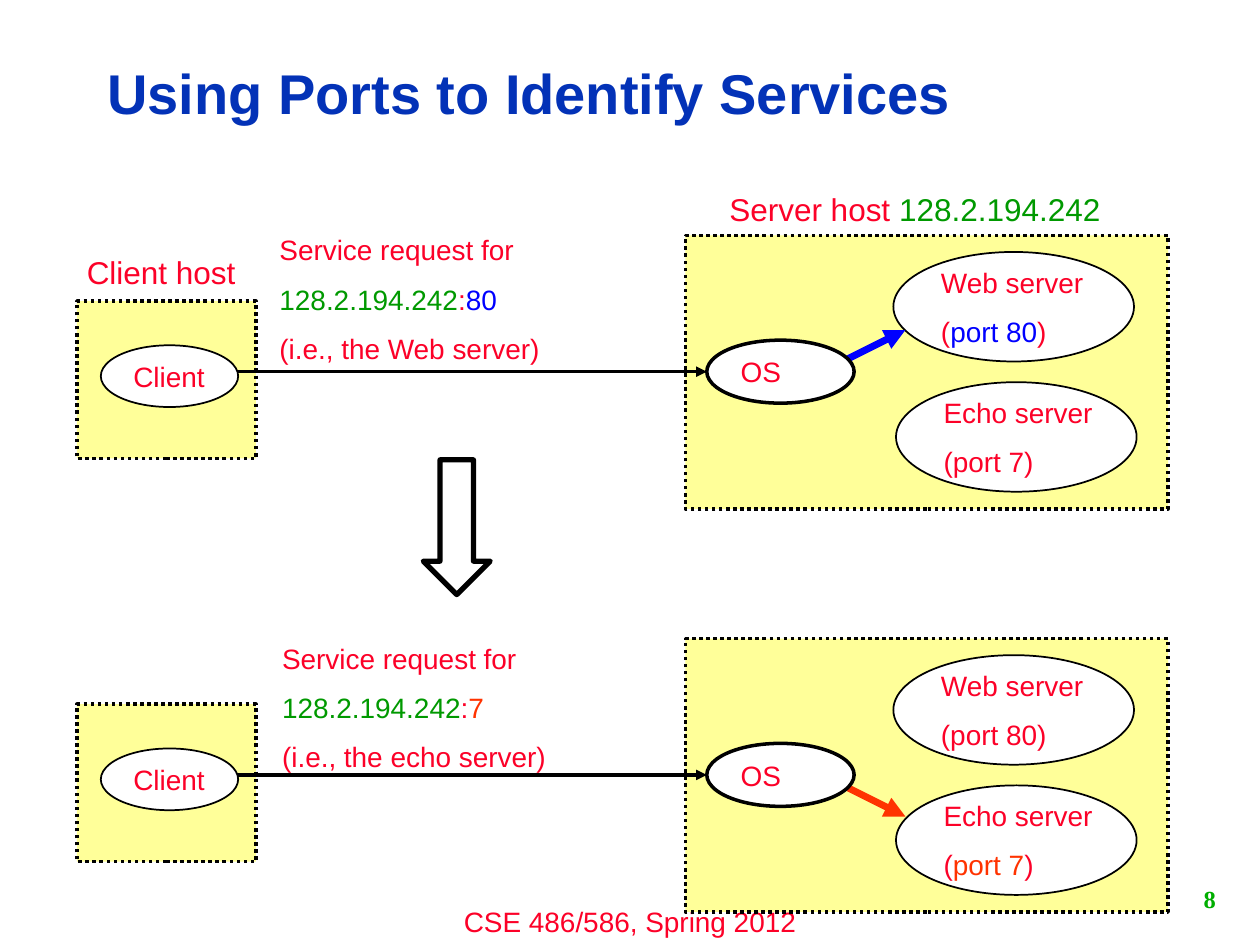
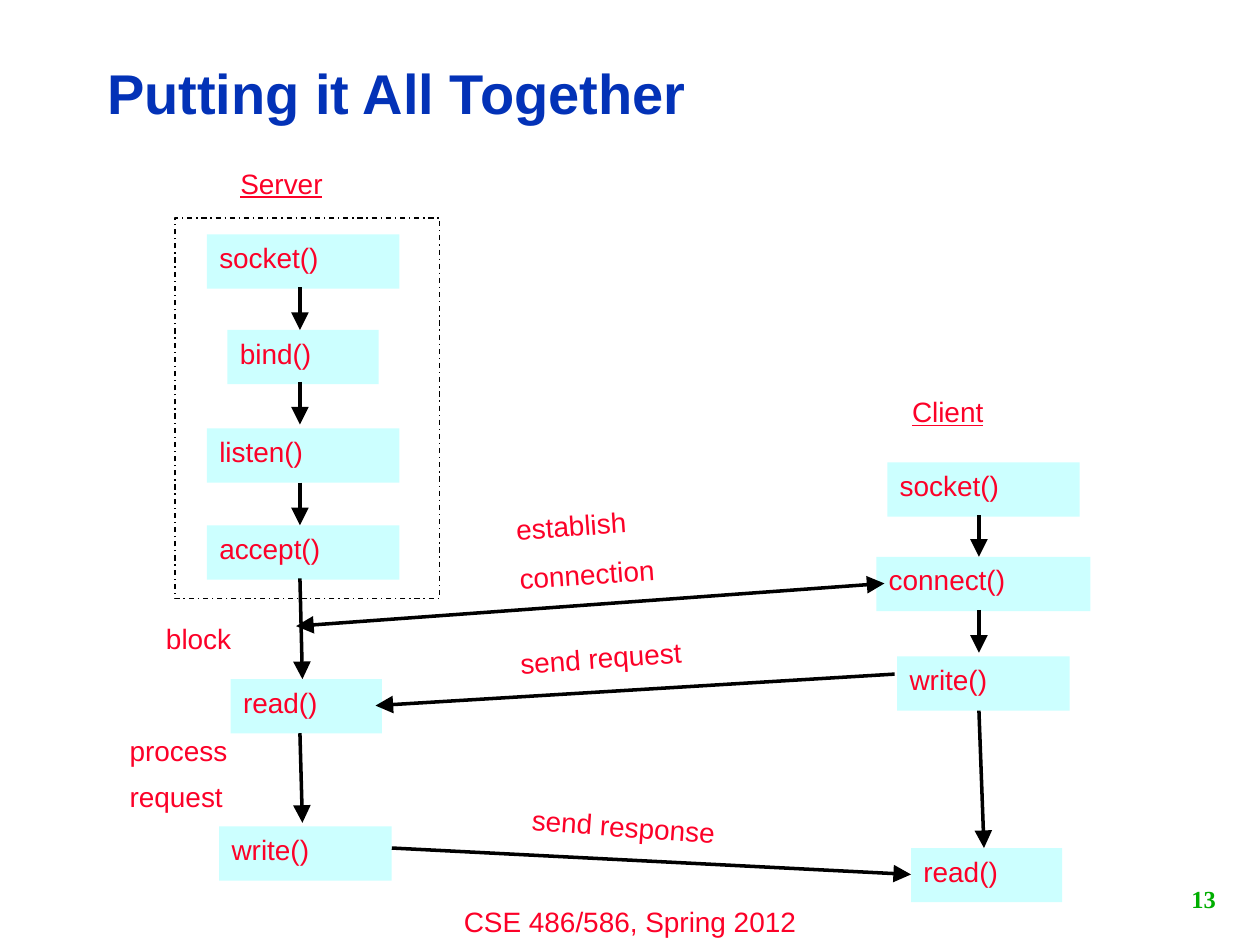
"""Builds two slides on ports and socket calls."""
import dataclasses

import lxml.etree
import pptx
import pptx.dml.color
import pptx.enum.dml
import pptx.enum.shapes
import pptx.enum.text
import pptx.oxml.ns
import pptx.util

Pt = pptx.util.Pt
SHAPE = pptx.enum.shapes.MSO_SHAPE
DASH = pptx.enum.dml.MSO_LINE
ALIGN = pptx.enum.text.PP_ALIGN
ANCHOR = pptx.enum.text.MSO_ANCHOR


@dataclasses.dataclass(frozen=True)
class Theme:
    title: str = "0332B7"
    text: str = "FC0128"
    number: str = "00AE00"
    address: str = "009900"
    web: str = "0000FF"
    echo: str = "FF3300"
    line: str = "000000"
    white: str = "FFFFFF"
    host: str = "FFFF99"
    call: str = "CCFFFF"
    font: str = "Arial"
    number_font: str = "Times New Roman"
    title_size: int = 32
    label_size: int = 18
    body_size: int = 16
    number_size: int = 14
    paragraph_gap: int = 9


def color(value):
    return pptx.dml.color.RGBColor.from_string(value)


class Deck:
    def __init__(self, theme):
        self.theme = theme
        self.presentation = pptx.Presentation()
        self.presentation.slide_width = Pt(720)
        self.presentation.slide_height = Pt(540)
        self.slide = None

    def start_slide(self, title, number):
        theme = self.theme
        self.slide = self.presentation.slides.add_slide(self.presentation.slide_layouts[5])
        shape = self.slide.shapes.title
        shape.left, shape.top, shape.width, shape.height = Pt(54), Pt(26), Pt(574.6), Pt(58.3)
        self.fill_text(shape, [title], theme.title_size, theme.title, bold=True,
                       anchor=ANCHOR.MIDDLE, spacing=0.9)
        self.text(["CSE 486/586, Spring 2012"], 240, 513.4, 240, 26.6, align=ALIGN.CENTER)
        self.text([str(number)], 630, 498.2, 72, 30.2, size=theme.number_size,
                  fill=theme.number, font=theme.number_font, bold=True,
                  align=ALIGN.RIGHT, anchor=ANCHOR.MIDDLE)

    def fill_text(self, shape, paragraphs, size=None, fill=None, font=None, bold=False,
                  underline=False, align=ALIGN.LEFT, anchor=ANCHOR.TOP, spacing=1.0):
        theme = self.theme
        frame = shape.text_frame
        frame.word_wrap = True
        frame.auto_size = pptx.enum.text.MSO_AUTO_SIZE.NONE
        frame.vertical_anchor = anchor
        for index, content in enumerate(paragraphs):
            paragraph = frame.add_paragraph() if index else frame.paragraphs[0]
            paragraph.alignment = align
            paragraph.line_spacing = spacing
            paragraph.space_before = Pt(theme.paragraph_gap if index else 0)
            parts = [(content, None)] if isinstance(content, str) else content
            for words, part_fill in parts:
                run = paragraph.add_run()
                run.text = words
                run.font.name = font or theme.font
                run.font.size = Pt(size or theme.body_size)
                run.font.bold = bold
                run.font.underline = underline
                run.font.color.rgb = color(part_fill or fill or theme.text)

    def text(self, paragraphs, left, top, width, height, rotation=0, **style):
        box = self.slide.shapes.add_textbox(Pt(left), Pt(top), Pt(width), Pt(height))
        box.rotation = rotation
        self.fill_text(box, paragraphs, **style)

    def shape(self, kind, left, top, width, height, fill=None, weight=0, dash=None):
        shape = self.slide.shapes.add_shape(kind, Pt(left), Pt(top), Pt(width), Pt(height))
        shape.shadow.inherit = False
        if fill:
            shape.fill.solid()
            shape.fill.fore_color.rgb = color(fill)
        else:
            shape.fill.background()
        if weight:
            shape.line.color.rgb = color(self.theme.line)
            shape.line.width = Pt(weight)
            if dash:
                shape.line.dash_style = dash
        else:
            shape.line.fill.background()
        return shape

    def ellipse(self, paragraphs, left, top, width, height, weight=1):
        shape = self.shape(SHAPE.OVAL, left, top, width, height, self.theme.white, weight)
        frame = shape.text_frame
        frame.margin_right = frame.margin_top = frame.margin_bottom = 0
        self.fill_text(shape, paragraphs, anchor=ANCHOR.MIDDLE)

    def arrow(self, start, end, fill=None, weight=2, head_size="med", both=False):
        connector = self.slide.shapes.add_connector(
            pptx.enum.shapes.MSO_CONNECTOR.STRAIGHT, *map(Pt, start + end))
        connector.line.color.rgb = color(fill or self.theme.line)
        connector.line.width = Pt(weight)
        properties = connector.element.spPr
        outline = properties.find(pptx.oxml.ns.qn("a:ln"))
        for end_name in ("a:headEnd", "a:tailEnd") if both else ("a:tailEnd",):
            lxml.etree.SubElement(outline, pptx.oxml.ns.qn(end_name),
                                  type="triangle", w=head_size, len=head_size)
        lxml.etree.SubElement(properties, pptx.oxml.ns.qn("a:effectLst"))

    def call(self, name, center, top, width):
        box = self.shape(SHAPE.RECTANGLE, center - width / 2, top, width, 31, self.theme.call)
        self.fill_text(box, [name])


def request_row(deck, top, request, request_at, web_fill, echo_fill, chosen, arrow_offsets):
    theme = deck.theme
    port, service = request
    deck.shape(SHAPE.RECTANGLE, 44, top + 37.4, 102.2, 90, theme.host, 2, DASH.ROUND_DOT)
    deck.shape(SHAPE.RECTANGLE, 391.7, top, 275.8, 156.2, theme.host, 2, DASH.ROUND_DOT)
    servers = (("Web server", "port 80", web_fill, 510.5, 9.4),
               ("Echo server", "port 7", echo_fill, 512, 83.8))
    for name, label, fill, left, offset in servers:
        deck.ellipse([name, [("(", None), (label, fill), (")", None)]],
                     left, top + offset, 137.5, 62.6)
    deck.text(["Service request for",
               [("128.2.194.242", theme.address), (":", None), (port, chosen)],
               f"(i.e., the {service} server)"], *request_at, 231, 79.2)
    deck.arrow((133.9, top + 77.8), (403.9, top + 77.8))
    start, end = arrow_offsets
    deck.arrow((481.4, top + start), (517.4, top + end), chosen, 4)
    deck.ellipse(["OS"], 403.9, top + 59.8, 84.2, 36, 2)
    deck.ellipse(["Client"], 57.6, top + 62.7, 78.5, 35.3)


def ports_slide(deck):
    theme = deck.theme
    deck.start_slide("Using Ports to Identify Services", 8)
    request_row(deck, 134.6, ("80", "Web"), (152.6, 129.6), theme.web, None,
                theme.web, (72, 54))
    request_row(deck, 365, ("7", "echo"), (154.1, 362.9), None, theme.echo,
                theme.echo, (83.6, 101.6))
    deck.text(["Client host"], 42.5, 141.1, 107.3, 28.8, size=theme.label_size)
    deck.text([[("Server host ", None), ("128.2.194.242", theme.address)]],
              409.7, 105.1, 233.3, 28.8, size=theme.label_size)
    deck.shape(SHAPE.DOWN_ARROW, 241.9, 262.8, 38.2, 77, weight=3)


def sockets_slide(deck):
    deck.start_slide("Putting it All Together", 13)
    calls = (
        ("socket()", 173.2, 133.9, 110), ("bind()", 173.2, 188.6, 86.4),
        ("listen()", 173.2, 244.8, 110), ("accept()", 173.2, 300.2, 110),
        ("read()", 175, 388.1, 86.4), ("write()", 174.6, 472.3, 98.6),
        ("socket()", 562, 264.2, 110), ("connect()", 562, 318.2, 122.4),
        ("write()", 562, 375.1, 98.6), ("read()", 563.8, 484.6, 86.4),
    )
    for call in calls:
        deck.call(*call)
    deck.shape(SHAPE.RECTANGLE, 100, 124.6, 151.2, 217.4, weight=0.75, dash=DASH.DASH_DOT)
    arrows = (
        ((171.4, 164.2), (171.4, 188.6)), ((171.4, 218.2), (171.4, 242.6)),
        ((171.4, 275.8), (171.4, 300.2)), ((171.4, 330.5), (172.8, 388.1)),
        ((171.4, 419), (172.8, 470.2)), ((559.4, 294.5), (559.4, 318.2)),
        ((559.4, 348.5), (559.4, 373)), ((559.4, 406.1), (562.3, 484.6)),
        ((511.2, 385.2), (214.6, 403.2)), ((223.9, 484.6), (520.6, 499.7)),
    )
    for start, end in arrows:
        deck.arrow(start, end, head_size="lg")
    deck.arrow((505.4, 333.4), (169.2, 357.8), head_size="lg", both=True)
    deck.text(["Server"], 130.3, 91.4, 86.4, 31, underline=True)
    deck.text(["Client"], 514.1, 221.8, 86.4, 31, underline=True)
    deck.text(["block"], 87.8, 351.4, 74.2, 31)
    deck.text(["process", "request"], 67, 417.6, 98.6, 50.4, spacing=0.9)
    deck.text(["establish", "connection"], 288.7, 285.1, 134.6, 55.4, rotation=-4)
    deck.text(["send request"], 290.2, 360.7, 158.4, 31, rotation=-4)
    deck.text(["send response"], 296.6, 460.8, 170.6, 31, rotation=4.1)


def main():
    deck = Deck(Theme())
    ports_slide(deck)
    sockets_slide(deck)
    deck.presentation.save("out.pptx")


if __name__ == "__main__":
    main()
